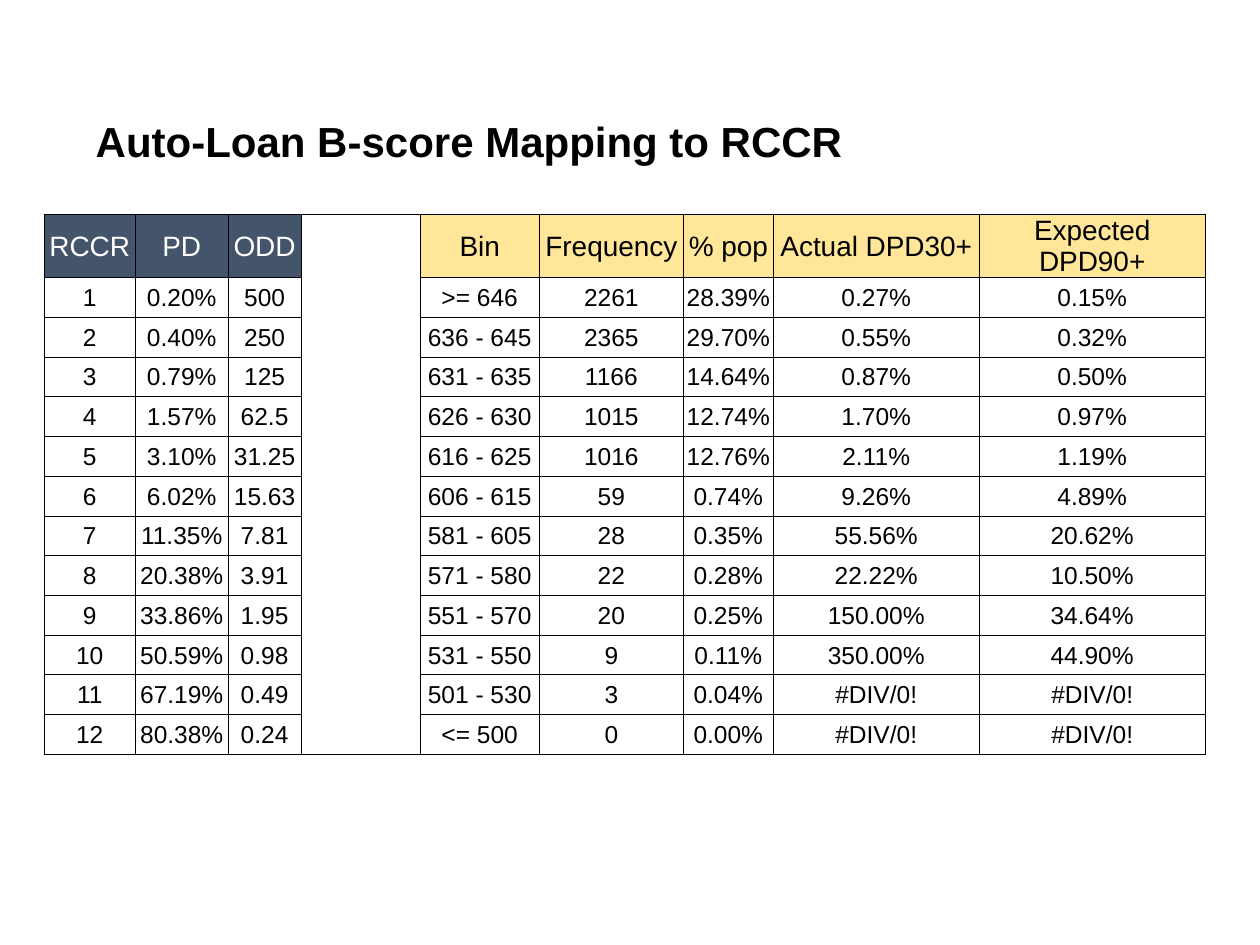
"""Build the slide that maps auto-loan B-scores to RCCR grades."""
from lxml import etree
from pptx import Presentation
from pptx.dml.color import RGBColor
from pptx.enum.shapes import MSO_SHAPE
from pptx.enum.text import MSO_ANCHOR, MSO_AUTO_SIZE, PP_ALIGN
from pptx.oxml.ns import qn
from pptx.util import Pt

RECTANGLE = MSO_SHAPE.RECTANGLE
MIDDLE = MSO_ANCHOR.MIDDLE
NO_FIT = MSO_AUTO_SIZE.NONE
LEFT, CENTER = PP_ALIGN.LEFT, PP_ALIGN.CENTER
TITLE_ONLY = 5

BLACK = RGBColor(0x00, 0x00, 0x00)
WHITE = RGBColor(0xFF, 0xFF, 0xFF)
SLATE = RGBColor(0x44, 0x54, 0x6A)
SAND = RGBColor(0xFF, 0xE6, 0x99)

GAP_COL = 3
WIDTHS = [52.2, 53, 41.7, 68, 68.2, 82.3, 51.4, 117.7, 129.1]
HEADER_HEIGHT, ROW_HEIGHT = 36, 22.73
ROWS = [
    ["RCCR", "PD", "ODD", "", "Bin", "Frequency", "% pop", "Actual DPD30+", "Expected DPD90+"],
    ["1", "0.20%", "500", "", ">= 646", "2261", "28.39%", "0.27%", "0.15%"],
    ["2", "0.40%", "250", "", "636 - 645", "2365", "29.70%", "0.55%", "0.32%"],
    ["3", "0.79%", "125", "", "631 - 635", "1166", "14.64%", "0.87%", "0.50%"],
    ["4", "1.57%", "62.5", "", "626 - 630", "1015", "12.74%", "1.70%", "0.97%"],
    ["5", "3.10%", "31.25", "", "616 - 625", "1016", "12.76%", "2.11%", "1.19%"],
    ["6", "6.02%", "15.63", "", "606 - 615", "59", "0.74%", "9.26%", "4.89%"],
    ["7", "11.35%", "7.81", "", "581 - 605", "28", "0.35%", "55.56%", "20.62%"],
    ["8", "20.38%", "3.91", "", "571 - 580", "22", "0.28%", "22.22%", "10.50%"],
    ["9", "33.86%", "1.95", "", "551 - 570", "20", "0.25%", "150.00%", "34.64%"],
    ["10", "50.59%", "0.98", "", "531 - 550", "9", "0.11%", "350.00%", "44.90%"],
    ["11", "67.19%", "0.49", "", "501 - 530", "3", "0.04%", "#DIV/0!", "#DIV/0!"],
    ["12", "80.38%", "0.24", "", "<= 500", "0", "0.00%", "#DIV/0!", "#DIV/0!"],
]


def set_font(p, size, color, bold=False):
    p.font.name = "Arial"
    p.font.size = Pt(size)
    p.font.bold = bold
    p.font.color.rgb = color


def add_borders(cell):
    tc_pr = cell._tc.get_or_add_tcPr()
    for side in ("a:lnL", "a:lnR", "a:lnT", "a:lnB"):
        ln = etree.SubElement(tc_pr, qn(side), w=str(Pt(0.5)))
        fill = etree.SubElement(ln, qn("a:solidFill"))
        etree.SubElement(fill, qn("a:srgbClr"), val=str(BLACK))


prs = Presentation()
prs.slide_width, prs.slide_height = Pt(720), Pt(540)
s = prs.slides.add_slide(prs.slide_layouts[TITLE_ONLY])

footer = s.shapes.add_shape(RECTANGLE, 0, Pt(508.3), Pt(720), Pt(31.7))
footer.shadow.inherit = False
footer.fill.solid()
footer.fill.fore_color.rgb = WHITE
footer.line.fill.background()

title = s.shapes.title
title.left, title.top, title.width, title.height = Pt(47.5), Pt(67.5), Pt(646.5), Pt(30)
tf = title.text_frame
tf.text = "Auto-Loan B-score Mapping to RCCR"
tf.auto_size = NO_FIT
tf.word_wrap = True
tf.vertical_anchor = MIDDLE
p = tf.paragraphs[0]
p.alignment = LEFT
p.line_spacing = 0.9
set_font(p, 24, BLACK, bold=True)

heights = [HEADER_HEIGHT] + [ROW_HEIGHT] * (len(ROWS) - 1)
table = s.shapes.add_table(len(ROWS), len(WIDTHS), Pt(25.2), Pt(122.4),
                           Pt(sum(WIDTHS)), Pt(sum(heights))).table
table.first_row = table.horz_banding = False
for column, width in zip(table.columns, WIDTHS):
    column.width = Pt(width)
for row, height in zip(table.rows, heights):
    row.height = Pt(height)

for i, values in enumerate(ROWS):
    for j, value in enumerate(values):
        cell = table.cell(i, j)
        cell.margin_left = cell.margin_right = cell.margin_top = Pt(0.6)
        cell.margin_bottom = 0
        cell.vertical_anchor = MIDDLE
        add_borders(cell)
        header = i == 0 and j != GAP_COL
        if header:
            cell.fill.solid()
            cell.fill.fore_color.rgb = SLATE if j < GAP_COL else SAND
        else:
            cell.fill.background()
        cell.text = value
        p = cell.text_frame.paragraphs[0]
        p.alignment = CENTER
        set_font(p, 16 if header else 14, WHITE if header and j < GAP_COL else BLACK)

table.cell(0, GAP_COL).merge(table.cell(len(ROWS) - 1, GAP_COL))

prs.save("out.pptx")
